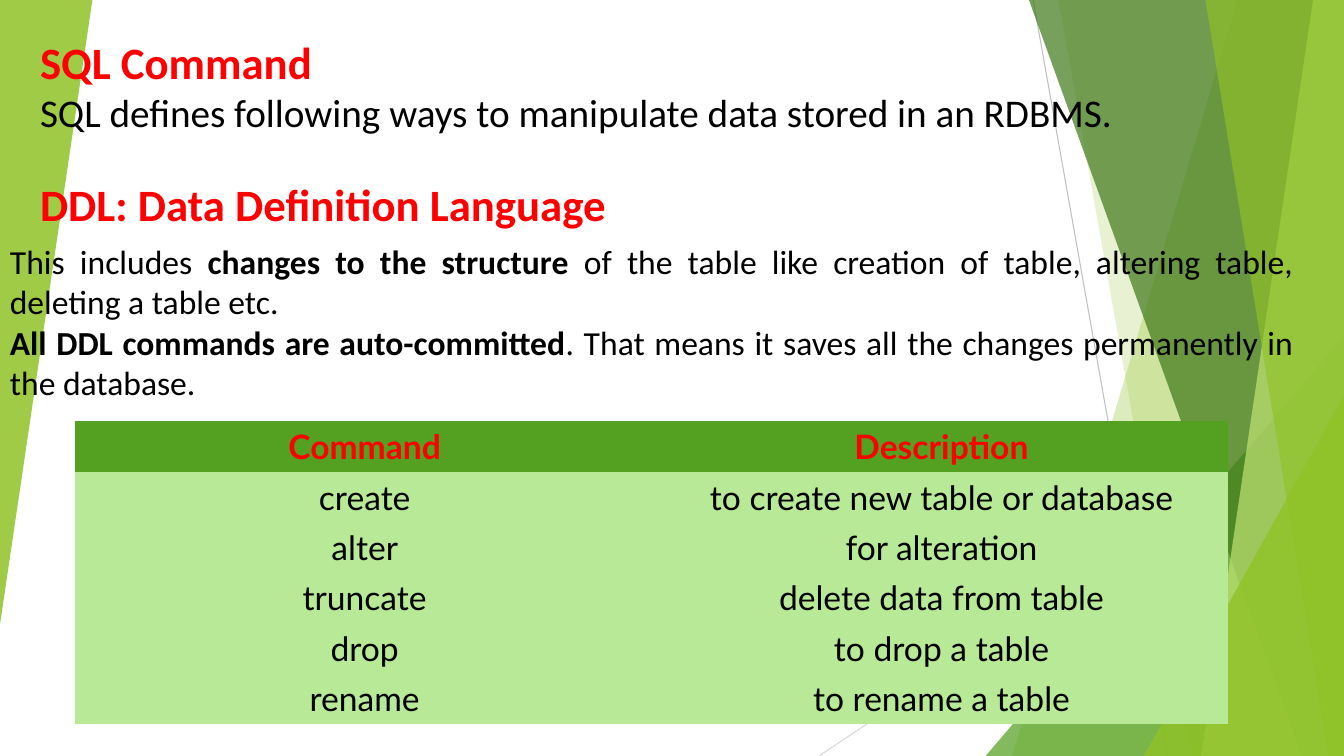
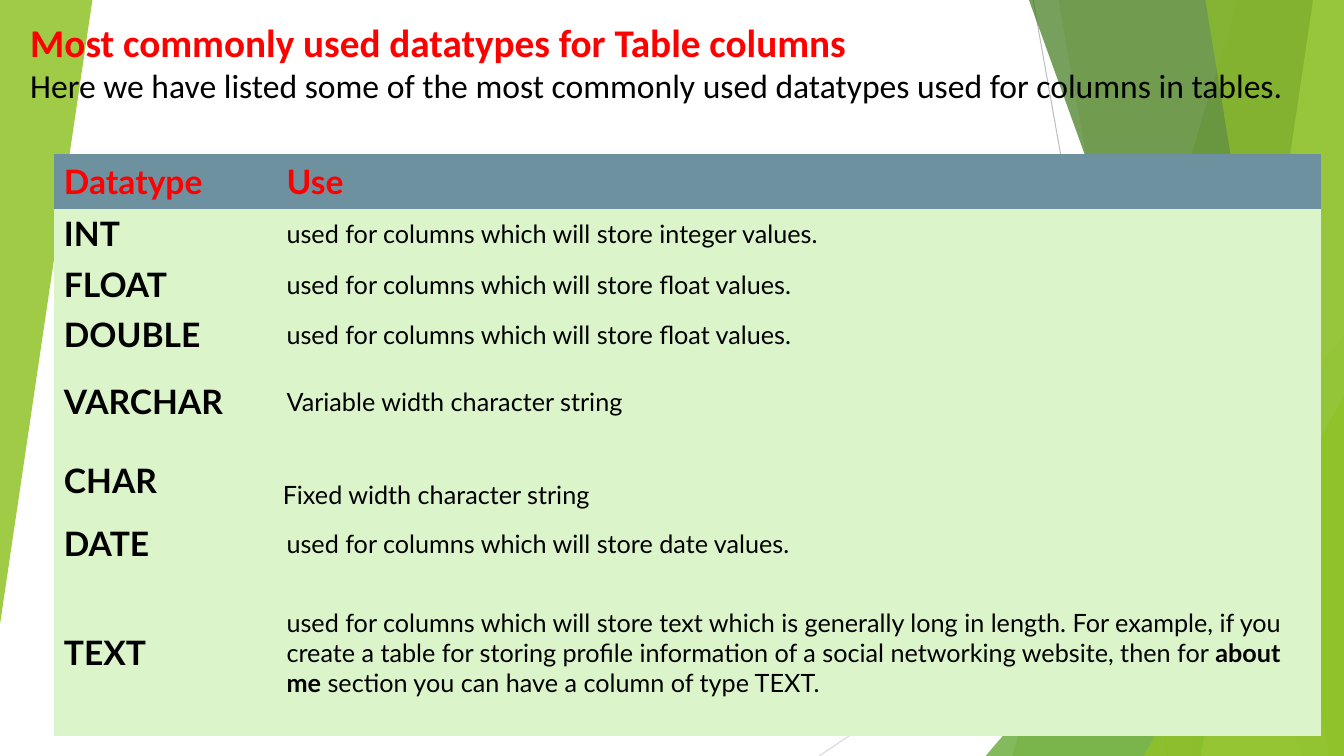
from lxml.etree import SubElement
from pptx import Presentation
from pptx.dml.color import RGBColor
from pptx.enum.shapes import MSO_CONNECTOR, MSO_SHAPE
from pptx.enum.text import MSO_ANCHOR, MSO_AUTO_SIZE, PP_ALIGN
from pptx.oxml.ns import qn
from pptx.util import Pt

WIDTH, HEIGHT = 960, 540
RED = RGBColor(0xFF, 0x00, 0x00)
BLACK = RGBColor(0x00, 0x00, 0x00)
SILVER = RGBColor(0xBF, 0xBF, 0xBF)
LIGHT_GRAY = RGBColor(0xD9, 0xD9, 0xD9)
LIME = RGBColor(0x90, 0xC2, 0x26)
PALE_LIME = RGBColor(0xC0, 0xE4, 0x74)
GREEN = RGBColor(0x54, 0xA0, 0x21)
DARK_GREEN = RGBColor(0x3F, 0x78, 0x19)
SOFT_GREEN = RGBColor(0xB7, 0xE9, 0x96)
PALE_GREEN = RGBColor(0xDB, 0xF4, 0xCA)
SLATE = RGBColor(0x6E, 0x91, 0xA0)
NO_GRID_STYLE = "{2D5ABB26-0587-4C30-8999-92F81FD0307C}"

HEADING = {"name": "Calibri", "size": Pt(32), "bold": True, "color": RED}
SMALL_HEADING = {**HEADING, "size": Pt(28)}
LEAD = {"name": "Calibri", "size": Pt(28), "bold": False, "color": BLACK}
BODY = {**LEAD, "size": Pt(24)}
TABLE_HEAD = {"name": "Lato", "size": Pt(24), "bold": True, "color": RED}
TABLE_KEY = {**TABLE_HEAD, "color": BLACK}
TABLE_TEXT = {**TABLE_KEY, "bold": False}
TABLE_NOTE = {**TABLE_TEXT, "size": Pt(18)}


def write(paragraph, text, style, alignment=PP_ALIGN.LEFT):
    paragraph.alignment = alignment
    for index, part in enumerate(text.split("*")):
        if part:
            run = paragraph.add_run()
            run.text = part
            for key, value in style.items():
                if key == "color":
                    run.font.color.rgb = value
                else:
                    setattr(run.font, key, value)
            if index % 2:
                run.font.bold = True


def add_table(slide, left, top, widths, heights, rows, fills, styles, alignment):
    frame = slide.shapes.add_table(
        len(rows), len(widths), Pt(left), Pt(top), Pt(sum(widths)), Pt(sum(heights))
    )
    frame.element.find(".//" + qn("a:tableStyleId")).text = NO_GRID_STYLE
    table = frame.table
    for column, width in zip(table.columns, widths):
        column.width = Pt(width)
    for row_index, (row, height) in enumerate(zip(rows, heights)):
        table.rows[row_index].height = Pt(height)
        for column_index, text in enumerate(row):
            cell = table.cell(row_index, column_index)
            cell.vertical_anchor = MSO_ANCHOR.MIDDLE
            cell.fill.solid()
            cell.fill.fore_color.rgb = fills[min(row_index, 1)]
            style = styles[column_index] if row_index else TABLE_HEAD
            write(cell.text_frame.paragraphs[0], text, style, alignment)
    return table


presentation = Presentation()
presentation.slide_width = Pt(WIDTH)
presentation.slide_height = Pt(HEIGHT)
blank_layout = presentation.slide_layouts[6]
for placeholder in list(blank_layout.placeholders):
    blank_layout.shapes.element.remove(placeholder.element)
command_slide = presentation.slides.add_slide(blank_layout)
datatype_slide = presentation.slides.add_slide(blank_layout)

backdrop = command_slide.shapes.add_group_shape()
for start_x, start_y, end_x, end_y, color in [
    (738, 0, 834, HEIGHT, SILVER),
    (WIDTH, 290, 585, HEIGHT, LIGHT_GRAY),
]:
    connector = backdrop.shapes.add_connector(
        MSO_CONNECTOR.STRAIGHT, Pt(start_x), Pt(start_y), Pt(end_x), Pt(end_y)
    )
    connector.line.color.rgb = color
    connector.line.width = Pt(0.75)
    SubElement(connector.element.spPr, qn("a:effectLst"))

facets = [
    ("ribbon", (884, 723), LIME, 30),
    ("ribbon", (756, 852), LIME, 20),
    ("triangle", (704, 240, 256, 300, 0), GREEN, 72),
    ("ribbon", (735, 930), DARK_GREEN, 70),
    ("ribbon", (938, 858), PALE_LIME, 70),
    ("ribbon", (861, 949), LIME, 65),
    ("triangle", (817, 283, 143, 257, 0), LIME, 80),
    ("triangle", (0, 0, 66, 446, 180), LIME, 85),
]
for kind, geometry, color, opacity in facets:
    if kind == "ribbon":
        top_x, bottom_x = geometry
        builder = backdrop.shapes.build_freeform(top_x, 0, scale=Pt(1))
        builder.add_line_segments([(WIDTH, 0), (WIDTH, HEIGHT), (bottom_x, HEIGHT)])
        shape = builder.convert_to_shape()
    else:
        left, top, width, height, rotation = geometry
        shape = backdrop.shapes.add_shape(
            MSO_SHAPE.ISOSCELES_TRIANGLE, Pt(left), Pt(top), Pt(width), Pt(height)
        )
        shape.adjustments[0] = 1
        shape.rotation = rotation
    shape.shadow.inherit = False
    shape.line.fill.background()
    shape.fill.solid()
    shape.fill.fore_color.rgb = color
    color_element = shape.element.spPr.find(".//" + qn("a:srgbClr"))
    SubElement(color_element, qn("a:alpha"), val=str(opacity * 1000))
blank_layout.shapes.element.append(backdrop.element)

text_boxes = [
    (command_slide, (21.5, 21, 923, 80), True, PP_ALIGN.LEFT, [
        ("SQL Command", HEADING),
        ("SQL defines following ways to manipulate data stored in an RDBMS.", LEAD),
    ]),
    (command_slide, (21.5, 122.5, 423, 46), False, PP_ALIGN.LEFT, [
        ("DDL: Data Definition Language", HEADING),
    ]),
    (command_slide, (0, 168.5, 931, 124), True, PP_ALIGN.JUSTIFY, [
        ("This includes *changes to the structure* of the table like creation of table, "
         "altering table, deleting a table etc.", BODY),
        ("*All DDL commands are auto-committed*. That means it saves all the changes "
         "permanently in the database.", BODY),
    ]),
    (datatype_slide, (14.5, 9.5, 937, 70.5), True, PP_ALIGN.LEFT, [
        ("Most commonly used datatypes for Table columns", SMALL_HEADING),
        ("Here we have listed some of the most commonly used datatypes used for columns "
         "in tables.", BODY),
    ]),
]
for slide, box, wrap, alignment, lines in text_boxes:
    text_frame = slide.shapes.add_textbox(*map(Pt, box)).text_frame
    text_frame.word_wrap = wrap
    text_frame.auto_size = MSO_AUTO_SIZE.SHAPE_TO_FIT_TEXT
    for index, (text, style) in enumerate(lines):
        paragraph = text_frame.add_paragraph() if index else text_frame.paragraphs[0]
        write(paragraph, text, style, alignment)

commands = [
    ("Command", "Description"),
    ("create", "to create new table or database"),
    ("alter", "for alteration"),
    ("truncate", "delete data from table"),
    ("drop", "to drop a table"),
    ("rename", "to rename a table"),
]
add_table(
    command_slide, 53.5, 301, [414, 410], [36] * len(commands), commands,
    (GREEN, SOFT_GREEN), (TABLE_TEXT, TABLE_TEXT), PP_ALIGN.CENTER,
)

datatypes = [
    ("Datatype", "Use"),
    ("INT", "used for columns which will store integer values."),
    ("FLOAT", "used for columns which will store float values."),
    ("DOUBLE", "used for columns which will store float values."),
    ("VARCHAR", "Variable width character string"),
    ("CHAR", "Fixed width character string"),
    ("DATE", "used for columns which will store date values."),
    ("TEXT", "used for columns which will store text which is generally long in length. "
             "For example, if you create a table for storing profile information of a "
             "social networking website, then for *about me* section you can have a "
             "column of type TEXT."),
]
datatype_table = add_table(
    datatype_slide, 38.5, 110, [159, 746], [39, 36, 36, 36, 60, 53, 36, 120], datatypes,
    (SLATE, PALE_GREEN), (TABLE_KEY, TABLE_NOTE), PP_ALIGN.LEFT,
)
fixed_width_cell = datatype_table.cell(5, 1)
fixed_width_format = {
    "vertical_anchor": MSO_ANCHOR.BOTTOM,
    "margin_left": Pt(4.5),
    "margin_bottom": Pt(5.5),
}
for key, value in fixed_width_format.items():
    setattr(fixed_width_cell, key, value)

presentation.save("out.pptx")
